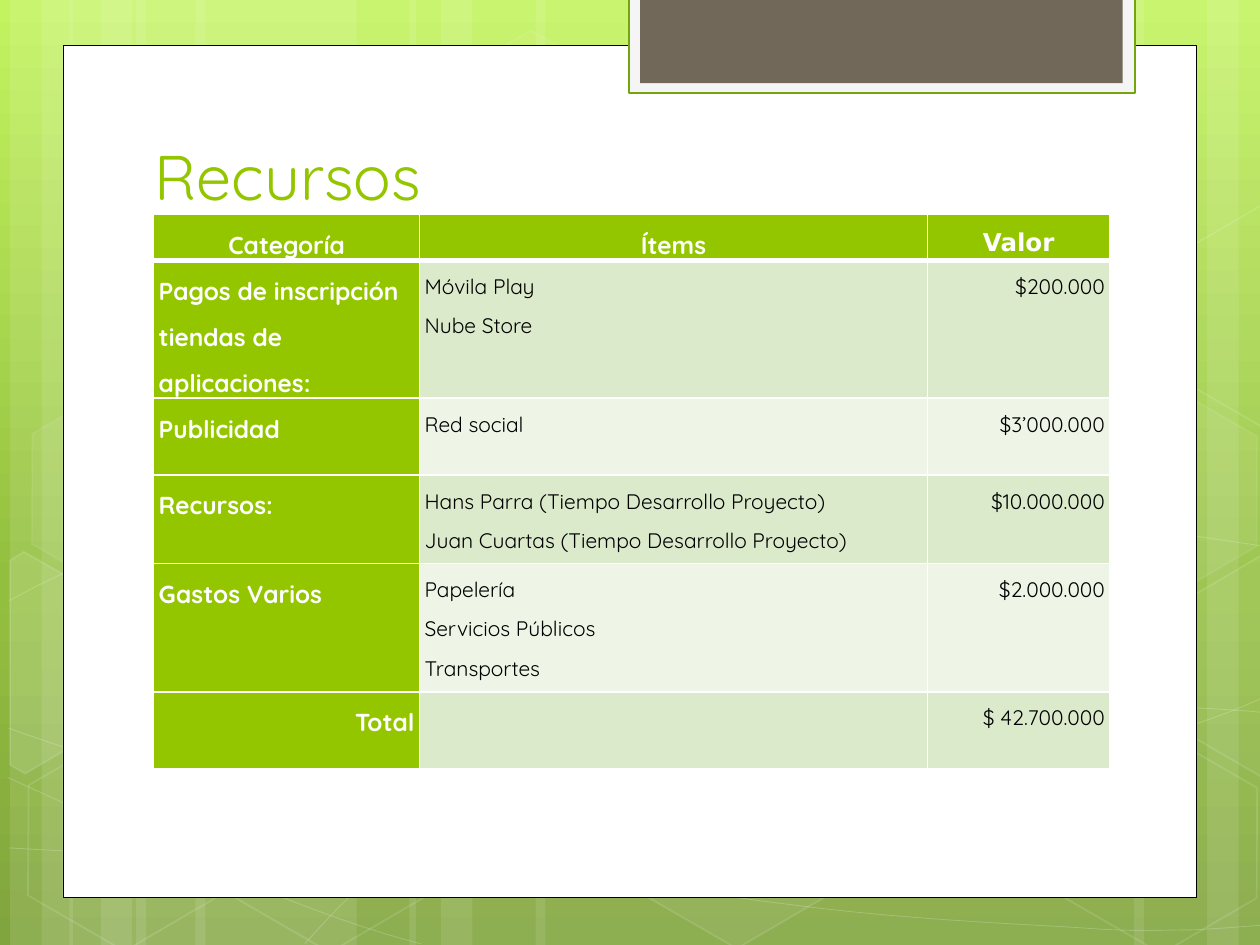
import pptx
import pptx.util
import pptx.dml.color
import pptx.enum.shapes
import pptx.enum.text
import pptx.oxml
import pptx.oxml.ns
from lxml import etree

Inches, Pt = pptx.util.Inches, pptx.util.Pt
qn = pptx.oxml.ns.qn
KIND = pptx.enum.shapes.MSO_SHAPE
ALIGN = pptx.enum.text.PP_ALIGN

THEME = {
    "font": "Quicksand", "alt": "DejaVu Sans",
    "title": 36, "head": 14, "body": 12, "space": 1.5,
    "green": "94C600", "white": "FFFFFF", "black": "000000",
    "bands": ("DCEACC", "EEF5E7"),
    "tab": "F5F5F5", "edge": "74A510", "brown": "71685A",
    "sky": ((0, "C3F35F"), (62, "93BF3F"), (100, "81A53E")),
}

TITLE = "Recursos"
HEADS = ("Categoría", "Ítems", "Valor")
ROWS = (
    ("Pagos de inscripción tiendas de aplicaciones:",
     ("Móvila Play", "Nube Store"), "$200.000"),
    ("Publicidad", ("Red social",), "$3’000.000"),
    ("Recursos:", ("Hans Parra (Tiempo Desarrollo Proyecto)",
                   "Juan Cuartas (Tiempo Desarrollo Proyecto)"), "$10.000.000"),
    ("Gastos Varios", ("Papelería", "Servicios Públicos", "Transportes"),
     "$2.000.000"),
    ("Total", ("",), "$ 42.700.000"),
)
WIDTHS = (2.11, 4.03, 1.45)
HEIGHTS = (0.36, 1.09, 0.61, 0.7, 1.02, 0.61)

# Left and width of each full-height strip; those in TURNED face the other way
STRIPS = ((1.08, 1.75), (0.08, 0.5), (0.33, 0.83), (1.55, 1.75), (0.55, 0.5),
          (0.8, 0.83), (7.33, 1.75), (9.58, 0.5), (9, 0.83), (4.25, 3.08),
          (3.25, 0.5), (3.5, 0.83))
TURNED = (7.33, 9.58, 9)

# Start point, then two handles and an end for each Bézier piece
WAVES = (
    ((0.07, 6.73), (0.61, 6.76), (1.15, 6.79), (1.9, 6.78), (2.65, 6.77),
     (3.58, 6.75), (4.58, 6.65), (5.58, 6.55), (7, 6.36), (7.92, 6.17),
     (8.83, 5.98), (9.77, 5.68), (10.07, 5.51)),
    ((0.07, 4.77), (0.36, 4.61), (0.65, 4.46), (1.21, 4.31), (1.78, 4.16),
     (2.59, 3.94), (3.47, 3.87), (4.36, 3.8), (5.44, 3.79), (6.54, 3.87),
     (7.64, 3.95), (9.47, 4.26), (10.07, 4.34)),
    ((0.06, 6.17), (1.27, 6.72), (2.47, 7.27), (3.34, 7.49)),
    ((0.07, 5.78), (0.38, 5.89), (0.7, 6), (1.28, 6.16), (1.86, 6.31),
     (2.73, 6.56), (3.57, 6.73), (4.4, 6.9), (5.45, 7.08), (6.28, 7.18),
     (7.11, 7.29), (8, 7.33), (8.53, 7.36), (9.05, 7.4), (9.19, 7.38),
     (9.45, 7.38), (9.71, 7.37), (9.89, 7.35), (10.07, 7.34)),
    ((2.42, 7.49), (2.6, 7.29), (2.78, 7.09), (3.02, 6.91), (3.26, 6.73),
     (3.6, 6.53), (3.88, 6.39), (4.16, 6.25), (4.33, 6.19), (4.7, 6.09),
     (5.06, 5.99), (5.73, 5.85), (6.08, 5.78), (6.44, 5.71), (6.49, 5.71),
     (6.8, 5.69), (7.11, 5.66), (7.6, 5.63), (7.94, 5.62), (8.29, 5.61),
     (8.86, 5.62), (8.86, 5.62), (9.08, 5.62), (9.31, 5.62), (9.53, 5.62),
     (9.71, 5.63), (9.88, 5.64), (9.97, 5.65), (10.06, 5.66), (10.03, 5.65),
     (10.06, 5.66)),
)
# Left, top, fill opacity, line opacity
HEXES = ((3.34, 0.36, 4, 8), (4.97, 5.89, 6, 12), (0.11, 5.91, 0, 12),
         (0.14, 3.12, 7, 8), (1.74, 5.92, 0, 12), (7.53, 4.53, 10, 12),
         (8.34, 5.93, 0, 12), (8.34, 3.14, 7, 8))
# Hexagons cut by the slide edge: corners, fill opacity
CUTS = (
    (((0.08, 4.45), (0.19, 4.38), (0.96, 4.82), (0.95, 5.7), (0.2, 6.14),
      (0.08, 6.07)), 10),
    (((9.26, 4.85), (10.01, 4.41), (10.09, 4.46), (10.09, 6.13),
      (10.02, 6.17), (9.26, 5.73)), 4),
    (((9.26, 2.07), (10.01, 1.63), (10.1, 1.68), (10.09, 3.35),
      (10.02, 3.39), (9.26, 2.95)), 0),
)


def rgb(code):
    return pptx.dml.color.RGBColor.from_string(code)


def tint(fill, code, alpha=100):
    """Fill with a colour at an opacity in percent; 0 means no fill."""
    if not alpha:
        fill.background()
        return
    fill.solid()
    fill.fore_color.rgb = rgb(code)
    if alpha < 100:
        node = fill._xPr.find(qn("a:solidFill"))[0]
        etree.SubElement(node, qn("a:alpha"), val=str(alpha * 1000))


def paint(shape, code, alpha=100, line=None):
    """Set fill and line; line is colour, points and opacity."""
    shape.shadow.inherit = False
    tint(shape.fill, code, alpha)
    if line:
        tint(shape.line.fill, line[0], line[2])
        shape.line.width = Pt(line[1])
    else:
        shape.line.fill.background()


def box(shapes, kind, spot, *look):
    shape = shapes.add_shape(kind, *map(Inches, spot))
    paint(shape, *look)
    return shape


def trace(shapes, points, close, *look):
    dots = [(Inches(x), Inches(y)) for x, y in points]
    pen = shapes.build_freeform(*dots[0], scale=1.0)
    pen.add_line_segments(dots[1:], close=close)
    shape = pen.convert_to_shape()
    paint(shape, *look)
    return shape


def bend(shape):
    """Turn each three line segments into one cubic Bézier piece."""
    steps = list(shape.element.iter(qn("a:lnTo")))
    for i in range(0, len(steps), 3):
        piece = etree.Element(qn("a:cubicBezTo"))
        steps[i].addprevious(piece)
        for step in steps[i:i + 3]:
            piece.append(step[0])
            step.getparent().remove(step)


def backdrop(slide):
    slide.background.fill.gradient()
    grad = slide.element.find(".//" + qn("a:gradFill"))
    stops = grad.find(qn("a:gsLst"))
    for stop in list(stops):
        stops.remove(stop)
    for pos, code in THEME["sky"]:
        stop = etree.SubElement(stops, qn("a:gs"), pos=str(pos * 1000))
        etree.SubElement(stop, qn("a:srgbClr"), val=code)
    grad.find(qn("a:lin")).set("ang", str(90 * 60000))

    shapes, white = slide.shapes, THEME["white"]
    for left, width in STRIPS:
        strip = box(shapes, KIND.RECTANGLE, (left, 0, width, 7.5), white, 10)
        strip.rotation = 180 if left in TURNED else 0
    for knots in WAVES:
        bend(trace(shapes, knots, False, white, 0, (white, 0.5, 20)))
    for left, top, alpha, edge in HEXES:
        cell = box(shapes, KIND.HEXAGON, (left, top, 1.75, 1.52), white, alpha,
                   (white, 1, edge))
        cell.adjustments[0] = 0.285
        cell.rotation = 30
    for points, alpha in CUTS:
        trace(shapes, points, True, white, alpha, (white, 1, 12))
    box(shapes, KIND.RECTANGLE, (0.5, 0.36, 9, 6.76), white, 100,
        (THEME["black"], 0.5, 100))
    box(shapes, KIND.RECTANGLE, (4.99, -0.02, 4.02, 0.76), THEME["tab"], 100,
        (THEME["edge"], 1.25, 100))
    box(shapes, KIND.RECTANGLE, (5.08, -0.02, 3.83, 0.68), THEME["brown"])


def style(para, size, code, bold=False, name=THEME["font"]):
    font = para.font
    font.name, font.size, font.bold = name, Pt(size), bold
    font.color.rgb = rgb(code)


def head(slide):
    title = slide.shapes.title
    title.left, title.top, title.width, title.height = map(
        Inches, (1.13, 0.99, 7.68, 0.75))
    slide.shapes.element.append(title.element)  # bring to front
    frame = title.text_frame
    frame.text = TITLE
    frame.auto_size = pptx.enum.text.MSO_AUTO_SIZE.NONE
    frame.vertical_anchor = pptx.enum.text.MSO_ANCHOR.BOTTOM
    para = frame.paragraphs[0]
    para.alignment = ALIGN.LEFT
    style(para, THEME["title"], THEME["green"])


def rule(cell, row):
    """Draw white cell borders, thick under the header."""
    props = cell._tc.get_or_add_tcPr()
    thick = {"lnB": row == 0, "lnT": row == 1}
    for side in ("lnL", "lnR", "lnT", "lnB"):
        width = Pt(3 if thick.get(side) else 1)
        line = etree.SubElement(props, qn("a:" + side), w=str(width))
        fill = etree.SubElement(line, qn("a:solidFill"))
        etree.SubElement(fill, qn("a:srgbClr"), val=THEME["white"])


def grid(slide):
    data = [HEADS, *ROWS]
    spot = (1.22, 1.7, sum(WIDTHS), sum(HEIGHTS))
    table = slide.shapes.add_table(len(data), len(HEADS), *map(Inches, spot)).table
    for col, width in zip(table.columns, WIDTHS):
        col.width = Inches(width)
    for r, (row, high) in enumerate(zip(data, HEIGHTS)):
        table.rows[r].height = Inches(high)
        for c, text in enumerate(row):
            cell = table.cell(r, c)
            strong = r == 0 or c == 0
            rule(cell, r)
            tint(cell.fill, THEME["green"] if strong else THEME["bands"][(r - 1) % 2])
            cell.margin_left = cell.margin_right = Inches(0.04)
            cell.margin_top = cell.margin_bottom = 0
            cell.text = text if isinstance(text, str) else "\n".join(text)
            for para in cell.text_frame.paragraphs:
                para.line_spacing = THEME["space"]
                right = c == 2 or text == "Total"
                para.alignment = (ALIGN.CENTER if r == 0 else
                                  ALIGN.RIGHT if right else ALIGN.LEFT)
                style(para, THEME["head" if strong else "body"],
                      THEME["white" if strong else "black"], strong,
                      THEME["alt" if text == "Valor" else "font"])


def main():
    deck = pptx.Presentation()
    deck.slide_width, deck.slide_height = Inches(10), Inches(7.5)
    slide = deck.slides.add_slide(deck.slide_layouts[5])
    backdrop(slide)
    head(slide)
    grid(slide)
    deck.save("out.pptx")


if __name__ == "__main__":
    main()
